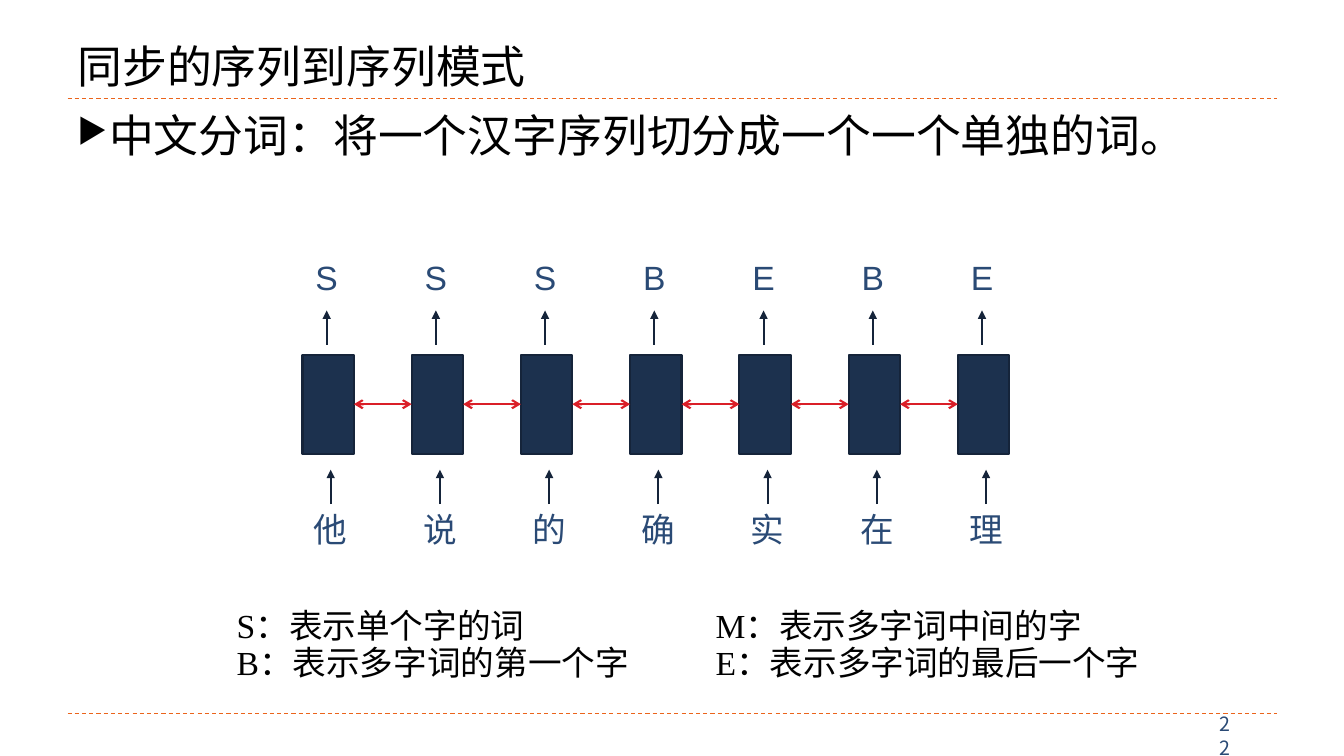
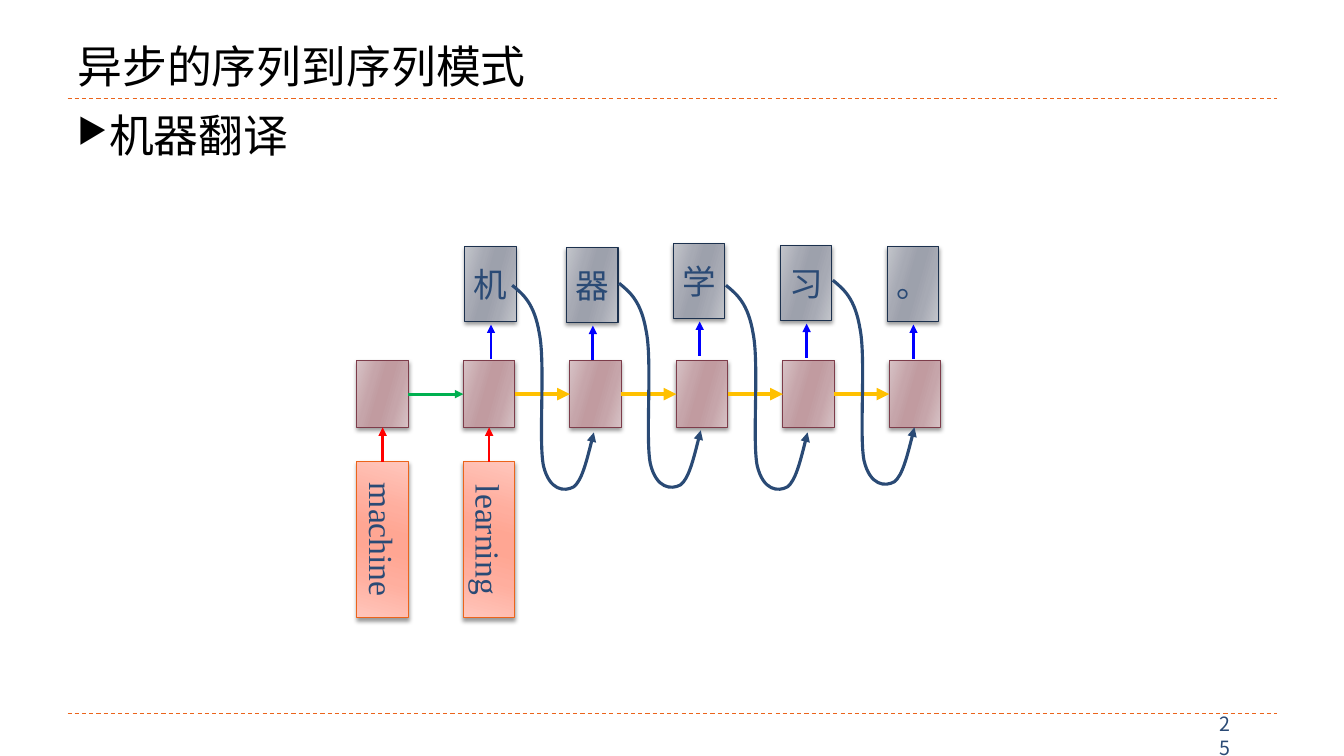
"""Build two slides on synchronous and asynchronous sequence-to-sequence models."""
from itertools import pairwise

from lxml.etree import SubElement
from pptx import Presentation
from pptx.dml.color import RGBColor
from pptx.enum.dml import MSO_LINE
from pptx.enum.shapes import MSO_CONNECTOR, MSO_SHAPE
from pptx.enum.text import MSO_ANCHOR as ANCHOR, PP_ALIGN as ALIGN
from pptx.oxml.ns import qn
from pptx.util import Inches, Pt

from_hex = RGBColor.from_string
STRAIGHT, RECT = MSO_CONNECTOR.STRAIGHT, MSO_SHAPE.RECTANGLE
BLACK, INK, NAVY, NAVY_EDGE, ORANGE = "000000", "2A4A75", "1C314E", "15243A", "EB641B"
CJK = "Noto Sans CJK SC"
CORAL = ("FFC6BC", "FFAE9E", "FFA693")
ROSE = ("D7C2C5", "C6A5AA", "C19BA0")
SLATE = ("C3C5CB", "A7AAB4", "9DA1AC")
TITLE = {"size": Pt(32), "name": "Arial"}
POINT = {"size": Pt(32), "name": "Times New Roman"}
NOTE = {"size": Pt(24), "name": "Times New Roman"}
LABEL = {"size": Pt(24), "name": "Arial"}
NUMBER = {"size": Pt(14), "name": CJK}


def paint(shape, line, width, fill=None, head=None, tail=None, dash=None):
    """Give a shape or connector its fill, outline, arrowheads and shadow."""
    props = shape._element.spPr
    if isinstance(fill, tuple):
        shape.fill.gradient()
        gradient = props.find(qn("a:gradFill"))
        stops = gradient.find(qn("a:gsLst"))
        stops.clear()
        light, middle, deep = fill
        shades = (light, middle, deep, deep, middle, light)
        for place, shade in zip((0, 30, 45, 55, 73, 100), shades):
            stop = SubElement(stops, qn("a:gs"), pos=str(place * 1000))
            SubElement(stop, qn("a:srgbClr"), val=shade)
        gradient.find(qn("a:lin")).set("ang", str(16 * 60000))
    elif fill:
        shape.fill.solid()
        shape.fill.fore_color.rgb = from_hex(fill)
    shape.line.color.rgb = from_hex(line)
    shape.line.width = Pt(width)
    if dash:
        shape.line.dash_style = dash
    for end, kind in (("a:headEnd", head), ("a:tailEnd", tail)):
        if kind:
            SubElement(props.find(qn("a:ln")), qn(end), type=kind)
    effects = SubElement(props, qn("a:effectLst"))
    if isinstance(fill, tuple):
        shadow = SubElement(effects, qn("a:outerShdw"), blurRad=str(Pt(3)),
                            dist=str(Pt(2)), dir="5400000", rotWithShape="0")
        black = SubElement(shadow, qn("a:srgbClr"), val=BLACK)
        SubElement(black, qn("a:alpha"), val="40000")


def write(shape, lines, style, colour, align=ALIGN.LEFT, anchor=ANCHOR.TOP,
          wrap=True, spacing=1.0, indent=0, bullet=None):
    """Fill a shape with paragraphs in one style."""
    frame = shape.text_frame
    frame.word_wrap = wrap
    frame.vertical_anchor = anchor
    for row, text in enumerate(lines):
        paragraph = frame.add_paragraph() if row else frame.paragraphs[0]
        props = paragraph._p.get_or_add_pPr()
        props.set("marL", str(Inches(indent)))
        if bullet:
            props.set("indent", str(-Inches(indent)))
            SubElement(SubElement(props, qn("a:buClr")), qn("a:srgbClr"), val=colour)
            SubElement(props, qn("a:buSzPct"), val="76000")
            SubElement(props, qn("a:buChar"), char=bullet)
        paragraph.alignment = align
        paragraph.line_spacing = spacing
        run = paragraph.add_run()
        run.text = text
        for name, value in style.items():
            setattr(run.font, name, value)
        run.font.color.rgb = from_hex(colour)
        SubElement(run._r.get_or_add_rPr(), qn("a:ea"), typeface=CJK)


deck = Presentation()
deck.slide_width, deck.slide_height = Inches(13.33), Inches(7.5)

pages = []
for title, point, number in (
    ("同步的序列到序列模式", "中文分词：将一个汉字序列切分成一个一个单独的词。", "22"),
    ("异步的序列到序列模式", "机器翻译", "25"),
):
    shapes = deck.slides.add_slide(deck.slide_layouts[6]).shapes
    pages.append(shapes)
    for y in (0.98, 7.08):
        rule = shapes.add_connector(STRAIGHT, Inches(0.67), Inches(y), Inches(12.67), Inches(y))
        paint(rule, ORANGE, 0.75, dash=MSO_LINE.DASH)
    heading = shapes.add_textbox(Inches(0.67), Inches(0.17), Inches(12), Inches(0.8))
    write(heading, [title], TITLE, BLACK, anchor=ANCHOR.BOTTOM)
    body = shapes.add_textbox(Inches(0.67), Inches(1.08), Inches(12), Inches(1))
    write(body, [point], POINT, BLACK, spacing=0.9, indent=0.17, bullet="▶")
    page_number = shapes.add_textbox(Inches(12), Inches(7.14), Inches(0.31), Inches(0.32))
    write(page_number, [number], NUMBER, INK, anchor=ANCHOR.MIDDLE)

segmentation, translation = pages

states = []
step = (9.5 - 3) / 6
for i, (character, tag) in enumerate(zip("他说的确实在理", "SSSBEBE")):
    left = 3 + i * step
    state = segmentation.add_shape(RECT, Inches(left), Inches(3.52), Inches(0.51), Inches(0.98))
    paint(state, NAVY_EDGE, 1.5, fill=NAVY)
    states.append(state)
    for text, centre, text_top, arrow_start in (
        (character, left + 0.28, 5, 5),
        (tag, left + 0.24, 2.5, 3.42),
    ):
        label = segmentation.add_textbox(
            Inches(centre - 0.27), Inches(text_top), Inches(0.54), Inches(0.5))
        write(label, [text], LABEL, INK, align=ALIGN.CENTER, wrap=False)
        arrow = segmentation.add_connector(
            STRAIGHT, Inches(centre), Inches(arrow_start),
            Inches(centre), Inches(arrow_start - 0.34))
        paint(arrow, NAVY_EDGE, 1.5, tail="triangle")

for before, after in pairwise(states):
    exchange = segmentation.add_connector(STRAIGHT, 0, 0, 0, 0)
    exchange.begin_connect(before, 3)
    exchange.end_connect(after, 1)
    paint(exchange, "DA1F28", 1.5, head="arrow", tail="arrow")

for left, meanings in (
    (2.08, ("S：表示单个字的词", "B：表示多字词的第一个字")),
    (6.83, ("M：表示多字词中间的字", "E：表示多字词的最后一个字")),
):
    legend = segmentation.add_textbox(Inches(left), Inches(6), Inches(5.17), Inches(1.33))
    write(legend, meanings, NOTE, BLACK, spacing=0.9, indent=0.17)

cells = []
step = (8.82 - 3.54) / 5
for i in range(6):
    cell = translation.add_shape(
        RECT, Inches(3.54 + i * step), Inches(3.58), Inches(0.51), Inches(0.66))
    paint(cell, "7D3C4A", 0.75, fill=ROSE)
    cells.append(cell)

for i, (before, after) in enumerate(pairwise(cells)):
    colour, width = ("FFC000", 3) if i else ("00B050", 2)
    passing = translation.add_connector(STRAIGHT, 0, 0, 0, 0)
    passing.begin_connect(before, 3)
    passing.end_connect(after, 1)
    paint(passing, colour, width, tail="triangle")

for word, cell in zip(("machine", "learning"), cells):
    centre = cell.left + cell.width // 2
    source = translation.add_shape(
        RECT, centre - Inches(1.55) // 2, Inches(5.1), Inches(1.55), Inches(0.51))
    source.rotation = 90
    paint(source, ORANGE, 0.75, fill=CORAL)
    write(source, [word], NOTE, INK, align=ALIGN.CENTER, anchor=ANCHOR.MIDDLE)
    feed = translation.add_connector(STRAIGHT, centre, Inches(4.58), centre, Inches(4.24))
    feed.end_connect(cell, 2)
    paint(feed, "FF0000", 2, tail="triangle")

for character, left, top in (
    ("机", 4.61, 2.45), ("器", 5.62, 2.46), ("学", 6.68, 2.42),
    ("习", 7.74, 2.44), ("。", 8.8, 2.45),
):
    output = translation.add_shape(RECT, Inches(left), Inches(top), Inches(0.51), Inches(0.74))
    paint(output, NAVY, 0.75, fill=SLATE)
    output.text_frame.margin_left = output.text_frame.margin_right = 0
    write(output, [character], LABEL, INK, align=ALIGN.CENTER, anchor=ANCHOR.MIDDLE)
    emit = translation.add_connector(
        STRAIGHT, Inches(left + 0.26), Inches(top + 1.11),
        Inches(left + 0.26), Inches(top + 0.77))
    paint(emit, "0000FF", 2, tail="triangle")

bends = (
    (0.11, 0.09), (0.22, 0.18), (0.27, 0.48),
    (0.33, 0.78), (0.26, 1.54), (0.31, 1.79),
    (0.37, 2.04), (0.52, 2.05), (0.61, 2),
    (0.69, 1.94), (0.75, 1.7), (0.81, 1.46),
)
for i, top in enumerate((2.83, 2.81, 2.83, 2.78)):
    left = 5.08 + i * 1.06
    outline = translation.build_freeform(Inches(left), Inches(top))
    outline.add_line_segments(
        [(Inches(left + dx), Inches(top + dy)) for dx, dy in bends], close=False)
    feedback = outline.convert_to_shape()
    track = feedback._element.find(".//" + qn("a:path"))
    segments = track.findall(qn("a:lnTo"))
    for first in range(0, len(segments), 3):
        curve = SubElement(track, qn("a:cubicBezTo"))
        for segment in segments[first:first + 3]:
            curve.append(segment[0])
            track.remove(segment)
    feedback.fill.background()
    paint(feedback, INK, 2.25, tail="triangle")

deck.save("out.pptx")
